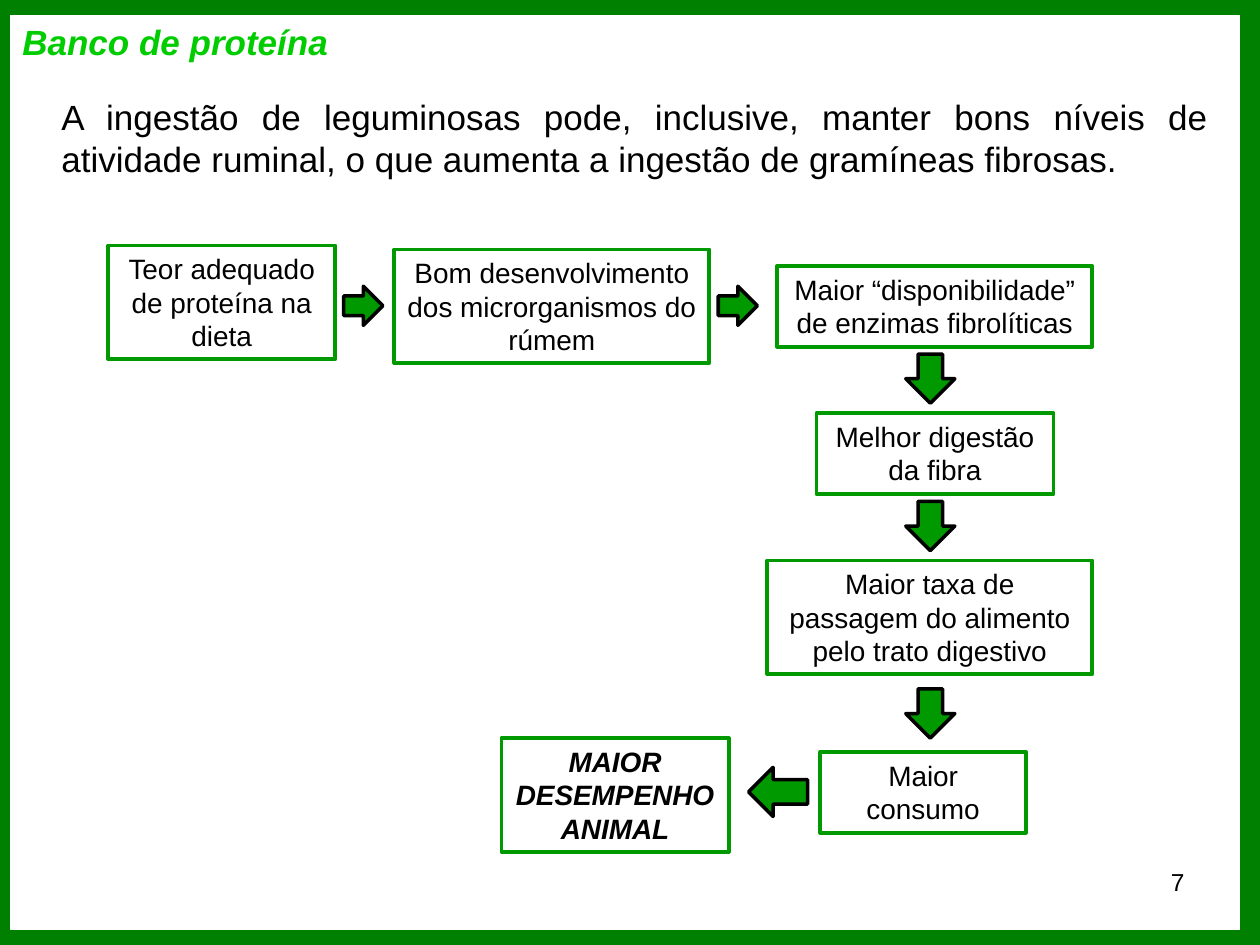
from lxml.etree import SubElement
from pptx import Presentation
from pptx.dml.color import RGBColor
from pptx.enum.shapes import MSO_CONNECTOR, MSO_SHAPE
from pptx.enum.text import MSO_ANCHOR, MSO_AUTO_SIZE, PP_ALIGN
from pptx.oxml.ns import qn
from pptx.util import Cm, Pt

COLORS = {
    "border": "008000",
    "title": "00CC00",
    "step": "009900",
    "text": "000000",
}
FONT = "Arial"

# Text, left, top, width and height in cm, relative to the flow; emphasis
STEPS = [
    ("Teor adequado de proteína na dieta", 0, 0, 4.58, 2.29, False),
    ("Bom desenvolvimento dos microrganismos do rúmem", 5.77, 0.08, 6.35, 2.29, False),
    ("Maior “disponibilidade” de enzimas fibrolíticas", 13.49, 0.41, 6.35, 1.63, False),
    ("Melhor digestão da fibra", 14.28, 3.38, 4.78, 1.63, False),
    ("Maior taxa de passagem do alimento pelo trato digestivo", 13.29, 6.35, 6.55, 2.29, False),
    ("Maior consumo", 14.36, 10.21, 4.14, 1.63, False),
    ("MAIOR DESEMPENHO ANIMAL", 7.93, 9.93, 4.58, 2.29, True),
]
ARROWS = (
    [(MSO_SHAPE.RIGHT_ARROW, left, 0.82, 0.79, 0.79) for left in (4.75, 12.3)]
    + [(MSO_SHAPE.DOWN_ARROW, 16.08, top, 0.99, 0.99) for top in (2.19, 5.16, 8.94)]
    + [(MSO_SHAPE.LEFT_ARROW, 12.91, 10.52, 1.19, 0.99)]
)


def rgb(name):
    return RGBColor.from_string(COLORS[name])


def write(shape, text, size, align, color="text", emphasis=False):
    frame = shape.text_frame
    frame.word_wrap = True
    paragraph = frame.paragraphs[0]
    paragraph.text = text
    paragraph.alignment = align
    font = paragraph.font
    font.name, font.size = FONT, Pt(size)
    font.bold = font.italic = emphasis
    font.color.rgb = rgb(color)
    return frame


def add_text(slide, box, text, size, align, **style):
    textbox = slide.shapes.add_textbox(*map(Cm, box))
    return write(textbox, text, size, align, **style)


def add_border_line(slide, x1, y1, x2, y2, weight):
    edge = slide.shapes.add_connector(MSO_CONNECTOR.STRAIGHT, *map(Cm, (x1, y1, x2, y2)))
    edge.line.color.rgb = rgb("border")
    edge.line.width = Pt(weight)
    SubElement(edge.element.spPr, qn("a:effectLst"))


def add_border(slide, left, top, width, height):
    """Frame the box; the top and bottom edges are two overlapping lines each."""
    right, bottom = left + width, top + height
    add_border_line(slide, left + 0.1, top - 0.08, left + 0.1, bottom - 0.08, 6)
    for y in (bottom - 0.13, top + 0.13):
        for x in (left - 0.1, left + 7.9):
            add_border_line(slide, x, y, x + 17.6, y, 10)
    for x in (right - 0.1, right - 0.3):
        add_border_line(slide, x, top + 0.13, x, bottom + 0.13, 6)


def add_header(slide, left, top, width):
    title = add_text(slide, (left, top, width, 1.4), "Banco de proteína", 20,
                     PP_ALIGN.LEFT, color="title", emphasis=True)
    title.vertical_anchor = MSO_ANCHOR.MIDDLE
    statement = add_text(
        slide, (left + 0.79, top + 1.67, width - 1.48, 1.96),
        "A ingestão de leguminosas pode, inclusive, manter bons níveis de "
        "atividade ruminal, o que aumenta a ingestão de gramíneas fibrosas.",
        20, PP_ALIGN.JUSTIFY)
    statement.auto_size = MSO_AUTO_SIZE.SHAPE_TO_FIT_TEXT


def add_flow(slide, left, top):
    for text, x, y, width, height, emphasis in STEPS:
        step = slide.shapes.add_shape(
            MSO_SHAPE.RECTANGLE, *map(Cm, (left + x, top + y, width, height)))
        step.shadow.inherit = False
        step.fill.background()
        step.line.color.rgb = rgb("step")
        step.line.width = Pt(2.25)
        frame = write(step, text, 16, PP_ALIGN.CENTER, emphasis=emphasis)
        frame.vertical_anchor = MSO_ANCHOR.TOP
        frame.auto_size = MSO_AUTO_SIZE.SHAPE_TO_FIT_TEXT

    for kind, x, y, width, height in ARROWS:
        arrow = slide.shapes.add_shape(
            kind, *map(Cm, (left + x, top + y, width, height)))
        arrow.shadow.inherit = False
        arrow.fill.solid()
        arrow.fill.fore_color.rgb = rgb("step")
        arrow.line.color.rgb = rgb("text")
        arrow.line.width = Pt(2)


def main():
    presentation = Presentation()
    presentation.slide_width, presentation.slide_height = Cm(25.4), Cm(19.05)
    slide = presentation.slides.add_slide(presentation.slide_layouts[6])
    add_text(slide, (18.21, 17.35, 5.92, 1.32), "7", 14, PP_ALIGN.RIGHT)
    add_border(slide, 0, 0, 25.4, 19.05)
    add_header(slide, 0.2, 0.13, 25.1)
    add_flow(slide, 2.18, 4.95)
    presentation.save("out.pptx")


if __name__ == "__main__":
    main()
